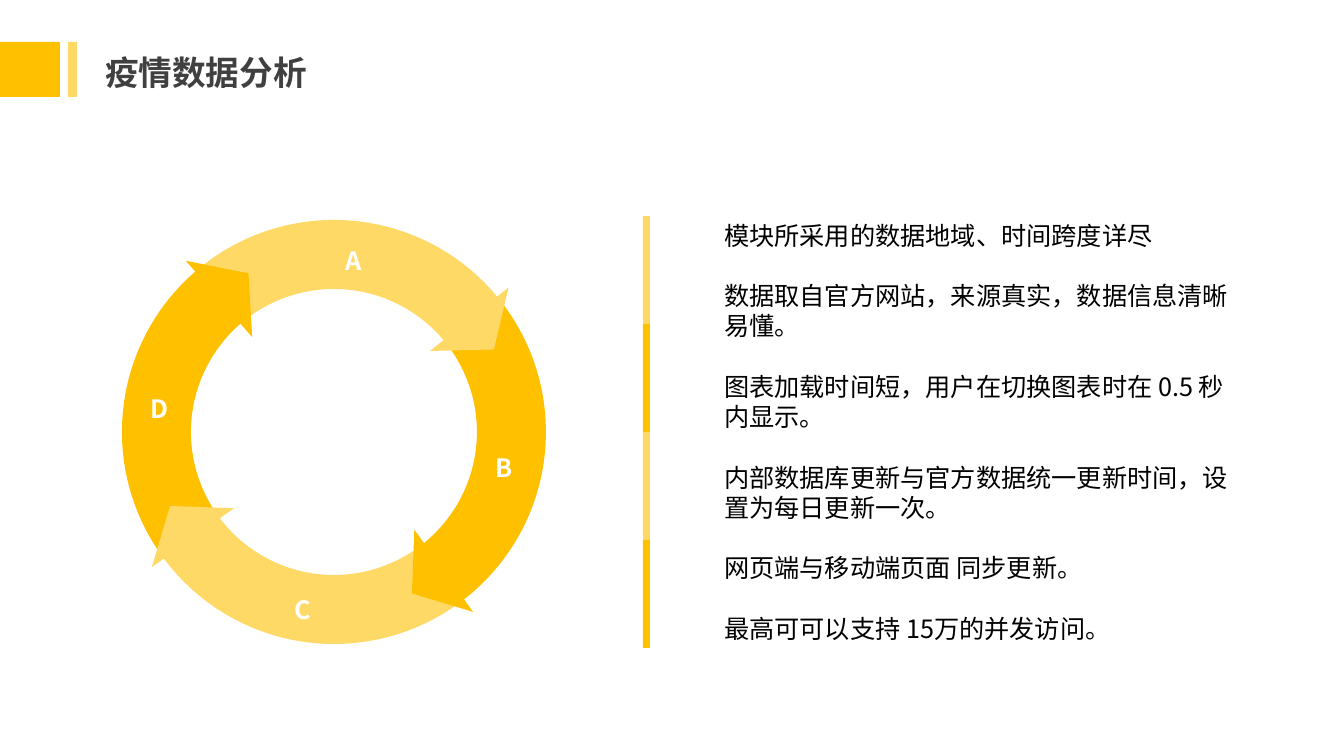
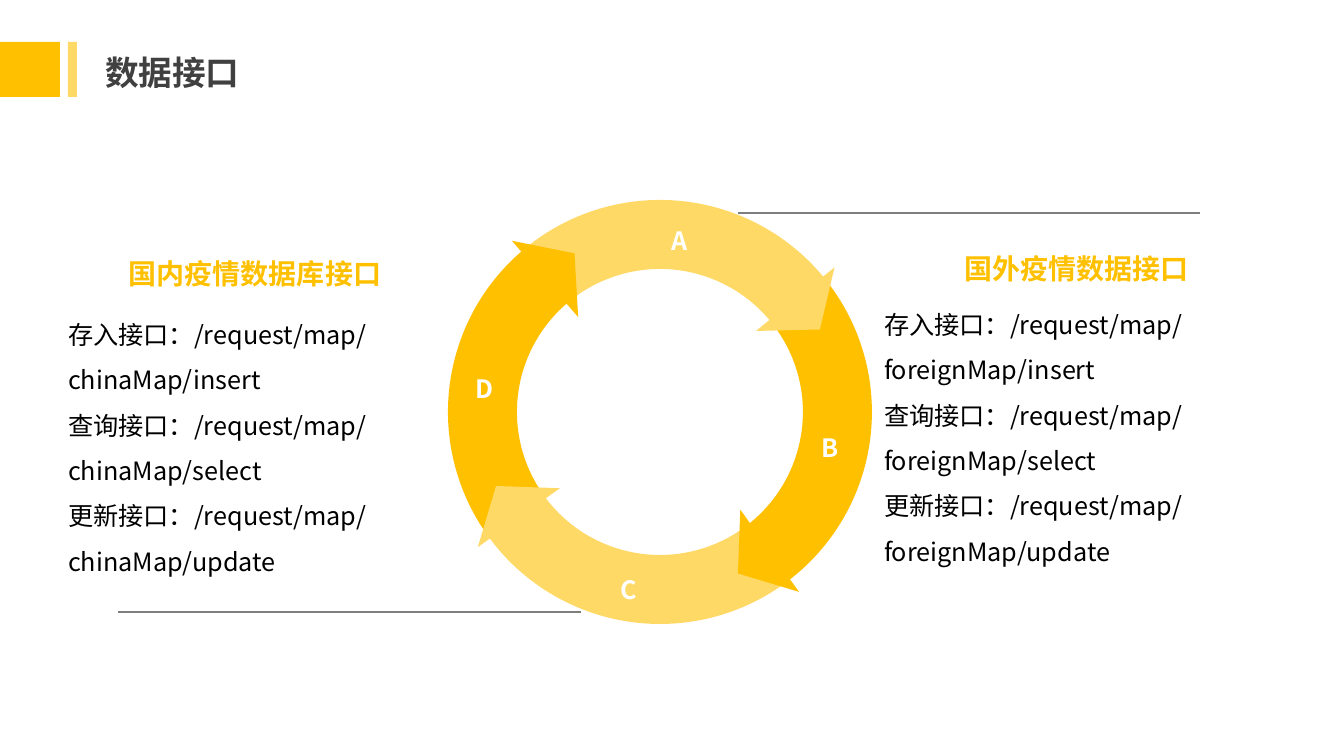
from math import cos, radians, sin

from pptx import Presentation
from pptx.dml.color import RGBColor
from pptx.enum.shapes import MSO_CONNECTOR, MSO_SHAPE
from pptx.enum.text import MSO_ANCHOR, MSO_AUTO_SIZE, PP_ALIGN
from pptx.oxml.ns import qn
from pptx.util import Pt
from lxml.etree import SubElement

PX = 914400 / 100.8
FONT = "Noto Sans CJK SC"
COLORS = {
    "gold": "FFC000",
    "pale": "FFD966",
    "title": "404040",
    "text": "000000",
    "letter": "FFFFFF",
    "rule": "7E7E7D",
}

TITLE_BOX = (95, 47, 331, 51)
HEADER_BARS = [("gold", (0, 42, 60, 55)), ("pale", (68, 42, 9, 55))]

ANALYSIS_TITLE = "疫情数据分析"
ANALYSIS_BOX = (714, 215, 525, 437)
ANALYSIS_POINTS = [
    "模块所采用的数据地域、时间跨度详尽",
    "数据取自官方网站，来源真实，数据信息清晰易懂。",
    "图表加载时间短，用户在切换图表时在 0.5 秒内显示。",
    "内部数据库更新与官方数据统一更新时间，设置为每日更新一次。",
    "网页端与移动端页面 同步更新。",
    "最高可可以支持 15万的并发访问。",
]
ANALYSIS_RING_CENTER = (334, 432)
STRIP_COLORS = ["pale", "gold", "pale", "gold"]
STRIP_LEFT, STRIP_TOP, STRIP_WIDTH, STRIP_STEP = 643, 216, 7, 108

INTERFACE_TITLE = "数据接口"
INTERFACE_RING_CENTER = (660, 412)
INTERFACES = [
    {
        "heading": "国内疫情数据库接口",
        "heading_box": (101, 251, 308, 44),
        "paths": [
            "存入接口：/request/map/chinaMap/insert",
            "查询接口：/request/map/chinaMap/select",
            "更新接口：/request/map/chinaMap/update",
        ],
        "paths_box": (58, 299, 425, 355),
        "rule": (581, 118, 612),
    },
    {
        "heading": "国外疫情数据接口",
        "heading_box": (951, 246, 251, 44),
        "paths": [
            "存入接口：/request/map/foreignMap/insert",
            "查询接口：/request/map/ foreignMap/select",
            "更新接口：/request/map/ foreignMap/update",
        ],
        "paths_box": (874, 289, 444, 308),
        "rule": (1200, 738, 213),
    },
]

# Letter, colour, start and end angle, arrowhead turn, letter offset from the centre
RING_PARTS = [
    ("A", "pale", 230, 321, 141, (20, -172)),
    ("D", "gold", 144, 230, 49, (-175, -24)),
    ("C", "pale", 52.5, 144, 324.3, (-31, 177)),
    ("B", "gold", 321, 52.5, 234.5, (170, 35)),
]
RING_RADIUS, RING_THICKNESS = 212, 69
HEAD_RADIUS, HEAD_LEAD = 177, 5.5
HEAD_WIDTH, HEAD_HEIGHT = 101, 39
LETTER_SIZE = 40


def emu(*lengths):
    return [round(length * PX) for length in lengths]


def centered(x, y, width, height):
    """Return the box of the given size around a point."""
    return x - width / 2, y - height / 2, width, height


def add_filled(slide, preset, box, color):
    shape = slide.shapes.add_shape(preset, *emu(*box))
    shape.shadow.inherit = False
    shape.fill.solid()
    shape.fill.fore_color.rgb = RGBColor.from_string(COLORS[color])
    shape.line.fill.background()
    return shape


def write(shape, lines, size, color, bold=False, align=PP_ALIGN.LEFT,
          spacing=1.0, gap=0, anchor=MSO_ANCHOR.TOP):
    """Fill a text frame with unbulleted paragraphs, gap points apart."""
    frame = shape.text_frame
    frame.auto_size = MSO_AUTO_SIZE.NONE
    frame.vertical_anchor = anchor
    frame.text = "\n".join(lines)
    for index, paragraph in enumerate(frame.paragraphs):
        paragraph.alignment = align
        paragraph.line_spacing = spacing
        paragraph.space_before = Pt(gap if index else 0)
        paragraph.space_after = Pt(0)
        properties = paragraph._p.get_or_add_pPr()
        properties.set("marL", "0")
        properties.set("indent", "0")
        SubElement(properties, qn("a:buNone"))
        font = paragraph.font
        font.size, font.bold, font.name = Pt(size), bold, FONT
        font.color.rgb = RGBColor.from_string(COLORS[color])
        east_asian = SubElement(properties.find(qn("a:defRPr")), qn("a:ea"))
        east_asian.set("typeface", FONT)


def fill_placeholder(placeholder, box, lines, size, color, **style):
    placeholder.left, placeholder.top, placeholder.width, placeholder.height = emu(*box)
    placeholder.text_frame.word_wrap = True
    write(placeholder, lines, size, color, **style)


def add_titled_slide(deck, layout_name, title):
    slide = deck.slides.add_slide(deck.slide_layouts.get_by_name(layout_name))
    fill_placeholder(slide.shapes.title, TITLE_BOX, [title], 24, "title", bold=True)
    for color, box in HEADER_BARS:
        add_filled(slide, MSO_SHAPE.RECTANGLE, box, color)
    return slide


def add_ring(slide, center):
    """Draw four arcs in a circle, then their arrowheads and letters on top."""
    x, y = center
    diameter = 2 * RING_RADIUS
    for _, color, start, end, _, _ in RING_PARTS:
        arc = add_filled(slide, MSO_SHAPE.BLOCK_ARC,
                         centered(x, y, diameter, diameter), color)
        # Angles count in 60000ths of a degree, adjustments in 100000ths
        arc.adjustments[0] = start * 0.6
        arc.adjustments[1] = end * 0.6
        arc.adjustments[2] = RING_THICKNESS / diameter
    for _, color, _, end, turn, _ in RING_PARTS:
        angle = radians(end + HEAD_LEAD)
        box = centered(x + HEAD_RADIUS * cos(angle), y + HEAD_RADIUS * sin(angle),
                       HEAD_WIDTH, HEAD_HEIGHT)
        add_filled(slide, MSO_SHAPE.ISOSCELES_TRIANGLE, box, color).rotation = turn
    for letter, _, _, _, _, (dx, dy) in RING_PARTS:
        box = centered(x + dx, y + dy, LETTER_SIZE, LETTER_SIZE)
        label = slide.shapes.add_textbox(*emu(*box))
        label.text_frame.word_wrap = False
        write(label, [letter], 18, "letter", bold=True,
              align=PP_ALIGN.CENTER, anchor=MSO_ANCHOR.MIDDLE)


def add_rule(slide, start, end, y):
    rule = slide.shapes.add_connector(MSO_CONNECTOR.STRAIGHT, *emu(start, y, end, y))
    rule.line.color.rgb = RGBColor.from_string(COLORS["rule"])
    rule.line.width = Pt(1)
    SubElement(rule._element.spPr, qn("a:effectLst"))


def build_analysis(deck):
    slide = add_titled_slide(deck, "Title and Content", ANALYSIS_TITLE)
    add_ring(slide, ANALYSIS_RING_CENTER)
    for index, color in enumerate(STRIP_COLORS):
        box = (STRIP_LEFT, STRIP_TOP + index * STRIP_STEP, STRIP_WIDTH, STRIP_STEP)
        add_filled(slide, MSO_SHAPE.RECTANGLE, box, color)
    fill_placeholder(slide.placeholders[1], ANALYSIS_BOX, ANALYSIS_POINTS,
                     18, "text", gap=21.6)


def build_interfaces(deck):
    slide = add_titled_slide(deck, "Comparison", INTERFACE_TITLE)
    add_ring(slide, INTERFACE_RING_CENTER)
    for index, interface in enumerate(INTERFACES):
        heading = slide.placeholders[1 + 2 * index]
        paths = slide.placeholders[2 + 2 * index]
        fill_placeholder(heading, interface["heading_box"], [interface["heading"]],
                         20, "gold", bold=True, align=PP_ALIGN.CENTER)
        fill_placeholder(paths, interface["paths_box"], interface["paths"],
                         18, "text", spacing=1.5)
        add_rule(slide, *interface["rule"])


def main():
    deck = Presentation()
    deck.slide_width, deck.slide_height = emu(1344, 756)
    build_analysis(deck)
    build_interfaces(deck)
    deck.save("out.pptx")


if __name__ == "__main__":
    main()
